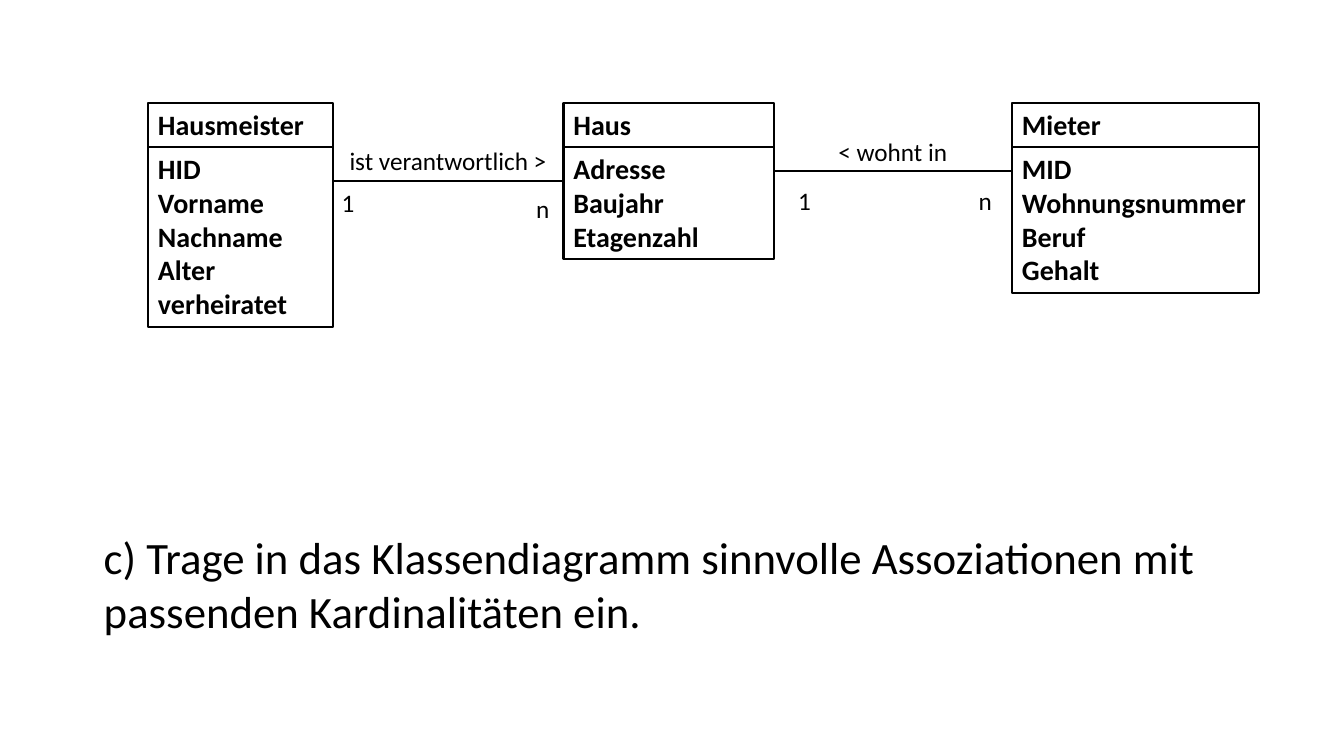
from lxml.etree import SubElement
from pptx import Presentation
from pptx.dml.color import RGBColor
from pptx.enum.shapes import MSO_CONNECTOR as CONN, MSO_SHAPE as SHAPE
from pptx.enum.text import MSO_ANCHOR as ANCHOR, MSO_AUTO_SIZE as FIT, PP_ALIGN as ALIGN
from pptx.oxml.ns import qn
from pptx.util import Pt

FONT = "Calibri"
BLACK = "000000"
TOP, LINE_HEIGHT, INSETS = 73.4, 24.2, 7.4

CLASSES = [
    ("Hausmeister", 105.8, 131.8, ["HID", "Vorname", "Nachname", "Alter", "verheiratet"]),
    ("Haus", 402.5, 150.5, ["Adresse", "Baujahr", "Etagenzahl"]),
    ("Mieter", 722.9, 176.4, ["MID", "Wohnungsnummer", "Beruf", "Gehalt"]),
]
ASSOCIATIONS = [(237.6, 402.5, 129.6), (553, 722.9, 122.4)]
LABELS = [
    ("ist verantwortlich >", 242.6, 100.1, 169.9),
    ("1", 236.9, 130.3, 27.4),
    ("n", 375.8, 134.6, 27.4),
    ("< wohnt in", 591.8, 93.6, 98.6),
    ("1", 563, 128.9, 27.4),
    ("n", 691.9, 128.9, 27.4),
]


def color(value):
    """Turn a hex string into a colour."""
    return RGBColor.from_string(value)


def write(s, lines, size, bold=False):
    """Fill a shape with left-aligned paragraphs."""
    tf = s.text_frame
    tf.word_wrap = True
    tf.auto_size = FIT.SHAPE_TO_FIT_TEXT
    tf.vertical_anchor = ANCHOR.TOP
    tf.text = "\n".join(lines)
    for p in tf.paragraphs:
        p.alignment = ALIGN.LEFT
        p.font.name = FONT
        p.font.size = Pt(size)
        p.font.bold = bold
        p.font.color.rgb = color(BLACK)


def outline(s):
    """Give a shape or connector the diagram's line."""
    s.line.color.rgb = color(BLACK)
    s.line.width = Pt(1.5)


def add_compartment(slide, x, y, w, lines):
    """Draw one class compartment and return its bottom edge."""
    h = LINE_HEIGHT * len(lines) + INSETS
    s = slide.shapes.add_shape(SHAPE.RECTANGLE, Pt(x), Pt(y), Pt(w), Pt(h))
    s.shadow.inherit = False
    s.fill.background()
    outline(s)
    write(s, lines, 20, bold=True)
    return y + h


def add_class(slide, name, x, w, attributes):
    """Draw a class with its name above its attributes."""
    bottom = add_compartment(slide, x, TOP, w, [name])
    add_compartment(slide, x, bottom, w, attributes)


def add_association(slide, x1, x2, y):
    """Draw a horizontal line between two classes."""
    s = slide.shapes.add_connector(CONN.STRAIGHT, Pt(x1), Pt(y), Pt(x2), Pt(y))
    outline(s)
    SubElement(s._element.spPr, qn("a:effectLst"))


def add_text(slide, text, x, y, w, h=29, size=18):
    """Place a plain text box."""
    s = slide.shapes.add_textbox(Pt(x), Pt(y), Pt(w), Pt(h))
    write(s, [text], size)


def main():
    """Build the class diagram slide."""
    prs = Presentation()
    prs.slide_width, prs.slide_height = Pt(960), Pt(540)
    slide = prs.slides.add_slide(prs.slide_layouts[6])
    for item in CLASSES:
        add_class(slide, *item)
    for item in ASSOCIATIONS:
        add_association(slide, *item)
    for item in LABELS:
        add_text(slide, *item)
    task = "c) Trage in das Klassendiagramm sinnvolle Assoziationen mit passenden Kardinalitäten ein."
    add_text(slide, task, 67, 375.1, 821.5, 85, 32)
    prs.save("out.pptx")


if __name__ == "__main__":
    main()
